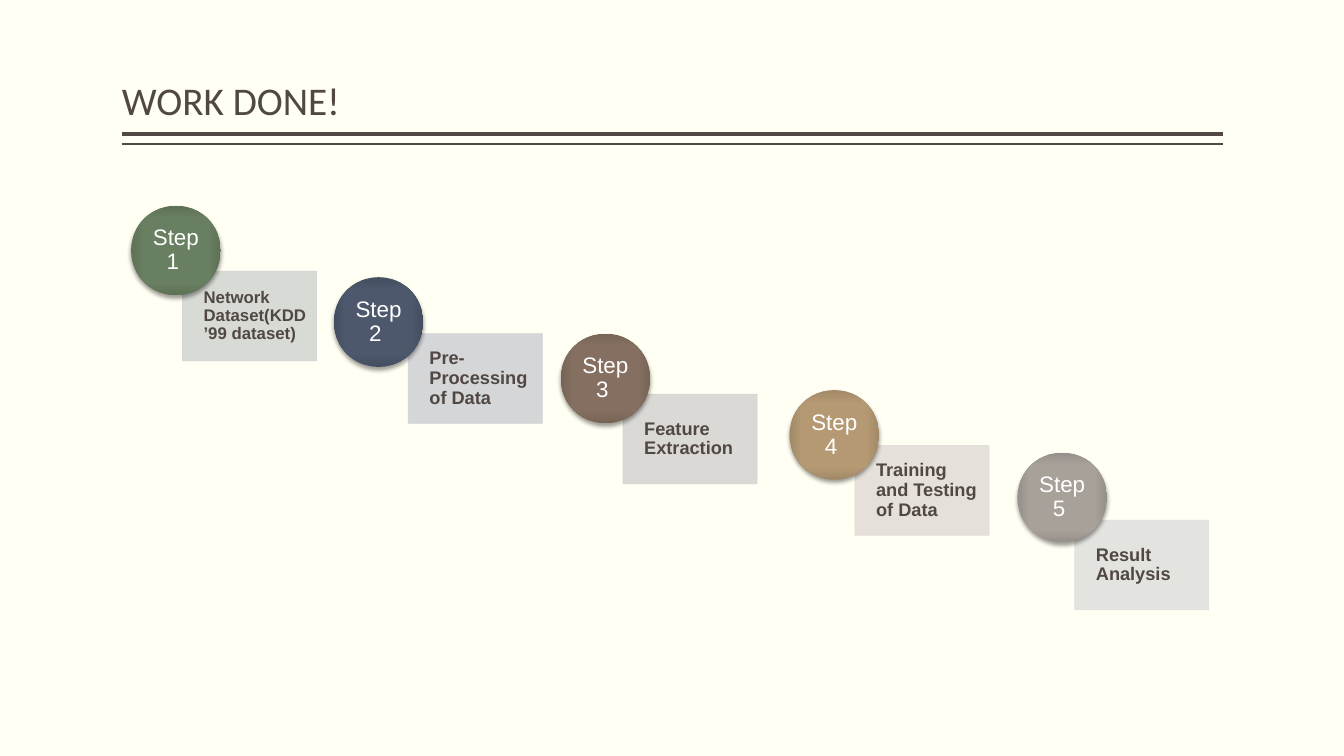
from lxml import etree
from pptx import Presentation
from pptx.dml.color import RGBColor
from pptx.enum.shapes import MSO_CONNECTOR, MSO_SHAPE
from pptx.enum.text import MSO_ANCHOR, MSO_AUTO_SIZE, PP_ALIGN
from pptx.oxml import parse_xml
from pptx.oxml.ns import qn
from pptx.util import Inches, Pt

LEFT, CENTER = PP_ALIGN.LEFT, PP_ALIGN.CENTER
MIDDLE, BOTTOM = MSO_ANCHOR.MIDDLE, MSO_ANCHOR.BOTTOM
RECT, OVAL = MSO_SHAPE.RECTANGLE, MSO_SHAPE.OVAL
A_NS = "http://schemas.openxmlformats.org/drawingml/2006/main"

CREAM = RGBColor(0xFF, 0xFF, 0xF3)
BROWN = RGBColor(0x51, 0x48, 0x43)
WHITE = RGBColor(0xFF, 0xFF, 0xFF)
GREEN, PALE_GREEN = RGBColor(0x6B, 0x81, 0x62), RGBColor(0xD4, 0xD7, 0xD3)
NAVY, PALE_NAVY = RGBColor(0x4E, 0x59, 0x6E), RGBColor(0xD1, 0xD2, 0xD4)
UMBER, PALE_UMBER = RGBColor(0x87, 0x71, 0x61), RGBColor(0xD8, 0xD5, 0xD3)
TAN, PALE_TAN = RGBColor(0xB7, 0x9B, 0x75), RGBColor(0xE3, 0xDE, 0xD8)
GREY, PALE_GREY = RGBColor(0xAA, 0xA3, 0x9C), RGBColor(0xE1, 0xE0, 0xDF)

TITLE = "WORK DONE!"
# label, text size, inset, ball colour, card colour, ball corner, card corner
STEPS = [
    ("Network Dataset(KDD’99 dataset)", 12, 0.09, GREEN, PALE_GREEN, (1.3, 2.04), (1.81, 2.69)),
    ("Pre-Processing of Data", 13, 0.1, NAVY, PALE_NAVY, (3.31, 2.75), (4.05, 3.31)),
    ("Feature Extraction", 13, 0.1, UMBER, PALE_UMBER, (5.56, 3.31), (6.18, 3.91)),
    ("Training and Testing of Data", 13, 0.1, TAN, PALE_TAN, (7.83, 3.87), (8.48, 4.42)),
    ("Result Analysis", 13, 0.1, GREY, PALE_GREY, (10.09, 4.49), (10.66, 5.16)),
]
RULES = [(1.33, 3), (1.43, 1)]
SLIDE_W, SLIDE_H = 13.33, 7.5
MARGIN = 1.21
CONTENT_W = 10.92
CARD_W, CARD_H = 1.33, 0.89
BALL = 0.89
CARD_INDENT = 0.21


def write(s, text, size, font="Arial", color=BROWN, bold=False,
          align=LEFT, anchor=MIDDLE, insets=(0, 0, 0, 0)):
    tf = s.text_frame
    tf.word_wrap = True
    tf.auto_size = MSO_AUTO_SIZE.NONE
    tf.vertical_anchor = anchor
    tf.margin_left, tf.margin_top, tf.margin_right, tf.margin_bottom = map(Inches, insets)
    p = tf.paragraphs[0]
    p.alignment = align
    p.line_spacing = 0.9
    r = p.add_run()
    r.text = text
    r.font.name, r.font.size, r.font.bold = font, Pt(size), bold
    r.font.color.rgb = color


def add_shape(slide, kind, corner, width, height):
    s = slide.shapes.add_shape(kind, *map(Inches, (*corner, width, height)))
    s.shadow.inherit = False
    return s


def add_card(slide, corner, color):
    s = add_shape(slide, RECT, corner, CARD_W, CARD_H)
    s.fill.solid()
    s.fill.fore_color.rgb = color
    s.line.color.rgb = color
    s.line.width = Pt(0.5)
    for clr in s._element.spPr.iter(qn("a:srgbClr")):
        etree.SubElement(clr, qn("a:alpha"), val="90000")
    return s


def shade(color, factor):
    return RGBColor(*(int(c * factor) for c in color))


def add_ball(slide, corner, color):
    s = add_shape(slide, OVAL, corner, BALL, BALL)
    s.line.fill.background()
    s.fill.gradient()
    stops = "".join(
        f'<a:gs pos="{pos * 1000}"><a:srgbClr val="{shade(color, factor)}"/></a:gs>'
        for pos, factor in ((0, 1), (71, 0.99), (100, 0.885)))
    grad = parse_xml(
        f'<a:gradFill xmlns:a="{A_NS}" rotWithShape="1"><a:gsLst>{stops}</a:gsLst>'
        '<a:path path="rect"><a:fillToRect l="50000" t="50000" r="50000" b="50000"/></a:path>'
        '</a:gradFill>')
    spPr = s._element.spPr
    spPr.replace(spPr.find(qn("a:gradFill")), grad)
    spPr.find(qn("a:effectLst")).append(parse_xml(
        f'<a:outerShdw xmlns:a="{A_NS}" blurRad="{Pt(3.1)}" dist="{Pt(2)}" dir="5400000" '
        'rotWithShape="0"><a:srgbClr val="000000"><a:alpha val="38000"/></a:srgbClr>'
        '</a:outerShdw>'))
    return s


def add_rule(slide, y, width):
    s = slide.shapes.add_connector(
        MSO_CONNECTOR.STRAIGHT, *map(Inches, (MARGIN, y, MARGIN + CONTENT_W, y)))
    s.line.color.rgb = BROWN
    s.line.width = Pt(width)
    etree.SubElement(s._element.spPr, qn("a:effectLst"))


def main():
    prs = Presentation()
    prs.slide_width, prs.slide_height = Inches(SLIDE_W), Inches(SLIDE_H)
    slide = prs.slides.add_slide(prs.slide_layouts[5])
    slide.background.fill.solid()
    slide.background.fill.fore_color.rgb = CREAM

    for y, width in RULES:
        add_rule(slide, y, width)

    title = slide.shapes.title
    title.left, title.top, title.width, title.height = map(
        Inches, (MARGIN, 0.08, CONTENT_W, 1.2))
    write(title, TITLE, 28, font="Calibri", anchor=BOTTOM, insets=(0, 0.05, 0, 0.05))

    for n, (label, size, inset, color, pale, ball_at, card_at) in enumerate(STEPS, 1):
        card = add_card(slide, card_at, pale)
        write(card, label, size, bold=True, insets=(CARD_INDENT, inset, inset, inset))
        ball = add_ball(slide, ball_at, color)
        write(ball, f"Step {n} ", 16, color=WHITE, align=CENTER)

    prs.save("out.pptx")


if __name__ == "__main__":
    main()
